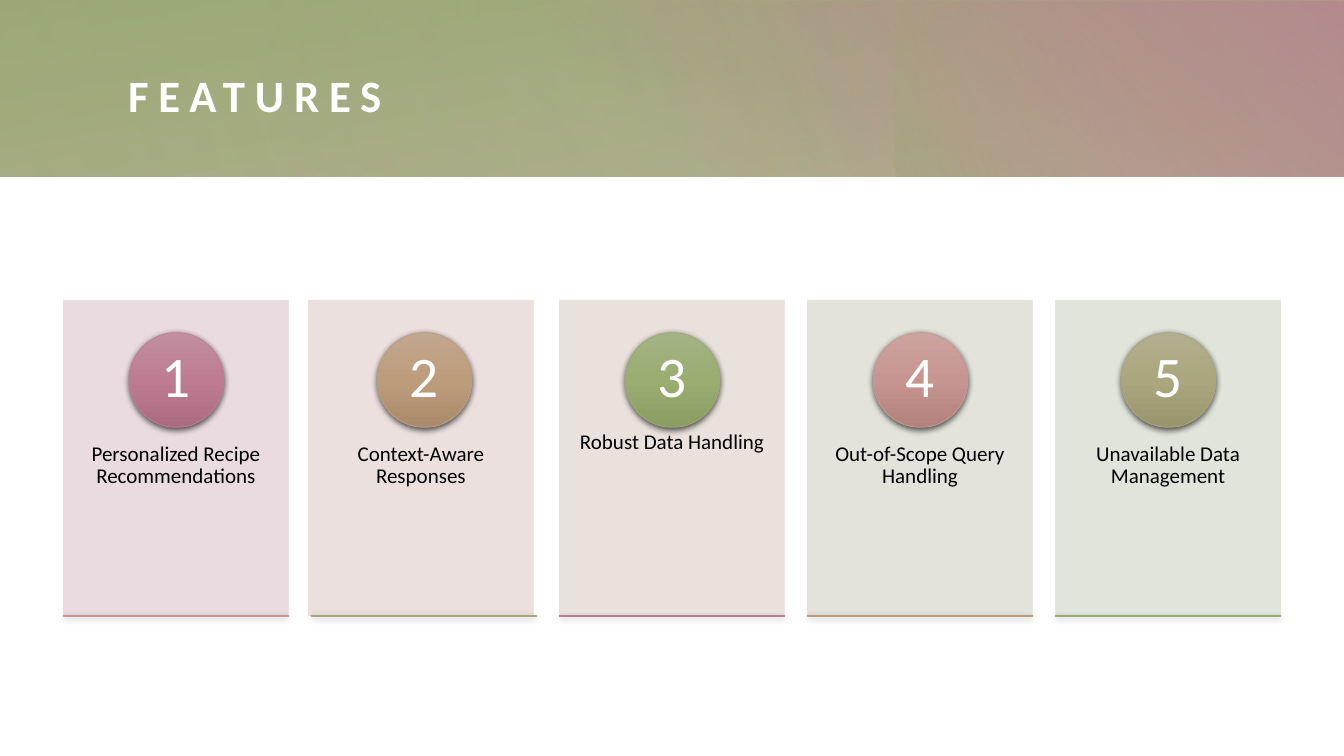
import pptx
import pptx.util
import pptx.oxml
import pptx.oxml.ns
import pptx.dml.color
import pptx.enum.shapes
import pptx.enum.text
from lxml import etree

Inches = pptx.util.Inches
Pt = pptx.util.Pt
SHAPE = pptx.enum.shapes.MSO_SHAPE
ANCHOR = pptx.enum.text.MSO_ANCHOR
ALIGN = pptx.enum.text.PP_ALIGN
qn = pptx.oxml.ns.qn

COLORS = {
    "white": "FFFFFF", "black": "000000",
    "rose": "BA7F93", "tan": "BA9C7F", "green": "99AA74",
    "coral": "C59793", "olive": "A8A580",
}
ACCENT_GRADIENTS = {
    "rose": ("C28E9F", "BD7C92", "AB6B81"),
    "tan": ("C2A78E", "BD9C7C", "AB8B6B"),
    "green": ("A4B385", "9AAD71", "8A9D62"),
    "coral": ("CCA3A0", "C79591", "B4827D"),
    "olive": ("B2AF8F", "AAA77E", "99966E"),
}
BANNER_LAYERS = [
    ((0, 0, 13.33, 1.75), 0, 260, [(0, "olive", 83), (100, "green", 100)]),
    ((4.81, 0.01, 8.52, 1.74), 0, 310, [(22, "rose", 0), (99, "rose", 100)]),
    ((9.87, -0.99, 1.75, 3.74), 270, 250, [(45, "tan", 0), (99, "green", 33)]),
    ((2.68, 0, 10.64, 1.75), 180, 330, [(0, "olive", 30), (99, "olive", 0)]),
    ((0, 0, 8.65, 1.75), 0, 340, [(0, "olive", 21), (99, "olive", 0)]),
]
FEATURES = [
    ("Personalized Recipe Recommendations", "E7D8DC", "rose", "coral", 0),
    ("Context-Aware Responses", "EADDDC", "tan", "olive", -0.03),
    ("Robust Data Handling", "E7DED8", "green", "rose", 0),
    ("Out-of-Scope Query Handling", "E1E1D8", "coral", "tan", 0),
    ("Unavailable Data Management", "DEE2D6", "olive", "green", 0),
]
CARD_LEFT, CARD_PITCH, CARD_WIDTH = 0.63, 2.46, 2.23
CARD_TOP, CARD_HEIGHT = 2.98, 3.13

TITLE = {"size": Pt(32), "bold": True}
LABEL = {"size": Pt(15)}
NUMBER = {"size": Pt(41)}


def rgb(value):
    return pptx.dml.color.RGBColor.from_string(value)


def set_alpha(color_element, percent):
    etree.SubElement(color_element, qn("a:alpha")).set("val", str(percent * 1000))


def add_plain_shape(slide, kind, box):
    shape = slide.shapes.add_shape(kind, *map(Inches, box))
    shape.shadow.inherit = False
    shape.line.fill.background()
    return shape


def set_gradient(shape, stops, angle):
    shape.fill.background()
    properties = shape._element.spPr
    gradient = pptx.oxml.parse_xml(
        f'<a:gradFill {pptx.oxml.ns.nsdecls("a")} rotWithShape="1"><a:gsLst/>'
        f'<a:lin ang="{angle * 60000}" scaled="0"/></a:gradFill>')
    for position, color, alpha in stops:
        stop = etree.SubElement(gradient[0], qn("a:gs"), pos=str(position * 1000))
        set_alpha(etree.SubElement(stop, qn("a:srgbClr"), val=color), alpha)
    properties.replace(properties.find(qn("a:noFill")), gradient)


def set_outline(shape, color):
    shape.line.color.rgb = rgb(color)
    shape.line.width = Pt(0.5)


def add_raised_shape(slide, kind, box, accent):
    shape = add_plain_shape(slide, kind, box)
    stops = [(position, color, 100)
             for position, color in zip((0, 50, 100), ACCENT_GRADIENTS[accent])]
    set_gradient(shape, stops, 90)
    set_outline(shape, COLORS[accent])
    shadow = etree.SubElement(
        shape._element.spPr.find(qn("a:effectLst")), qn("a:outerShdw"),
        blurRad=str(Pt(4.5)), dist=str(Pt(1.5)), dir="5400000",
        algn="ctr", rotWithShape="0")
    set_alpha(etree.SubElement(shadow, qn("a:srgbClr"), val=COLORS["black"]), 63)


def add_text(slide, text, box, font_format, color, insets=(0, 0),
             anchor=ANCHOR.MIDDLE, align=ALIGN.CENTER, line_spacing=0.9):
    frame = slide.shapes.add_textbox(*map(Inches, box)).text_frame
    side, edge = map(Inches, insets)
    frame_format = {
        "word_wrap": True, "vertical_anchor": anchor,
        "margin_left": side, "margin_right": side,
        "margin_top": edge, "margin_bottom": edge,
    }
    for name, value in frame_format.items():
        setattr(frame, name, value)
    paragraph = frame.paragraphs[0]
    paragraph.alignment = align
    paragraph.line_spacing = line_spacing
    run = paragraph.add_run()
    run.text = text
    for name, value in {"name": "Calibri", **font_format}.items():
        setattr(run.font, name, value)
    run.font.color.rgb = rgb(COLORS[color])
    return run


def add_banner(slide):
    for box, rotation, angle, stops in BANNER_LAYERS:
        layer = add_plain_shape(slide, SHAPE.RECTANGLE, box)
        layer.rotation = rotation
        set_gradient(layer, [(position, COLORS[name], alpha)
                             for position, name, alpha in stops], angle)
    title = add_text(slide, "FEATURES", (1.27, 0.41, 11.35, 1.06), TITLE, "white",
                     align=ALIGN.LEFT, line_spacing=1.0)
    title.font._element.set("spc", "700")


def add_feature_card(slide, index, label, tint, badge_accent, base_accent, nudge):
    left = CARD_LEFT + index * CARD_PITCH
    panel_left = left + nudge
    panel = add_plain_shape(slide, SHAPE.RECTANGLE,
                            (panel_left, CARD_TOP, CARD_WIDTH, CARD_HEIGHT))
    panel.fill.solid()
    panel.fill.fore_color.rgb = rgb(tint)
    set_outline(panel, tint)
    for color_element in panel._element.spPr.iter(qn("a:srgbClr")):
        set_alpha(color_element, 90)
    add_text(slide, label, (panel_left, 4.17, CARD_WIDTH, 1.88), LABEL, "black",
             insets=(0.17, 0.36), anchor=ANCHOR.TOP)
    add_raised_shape(slide, SHAPE.OVAL, (left + 0.65, 3.3, 0.94, 0.94), badge_accent)
    add_text(slide, str(index + 1), (left + 0.79, 3.43, 0.66, 0.66), NUMBER, "white",
             insets=(0.07, 0.01))
    add_raised_shape(slide, SHAPE.RECTANGLE,
                     (left, CARD_TOP + CARD_HEIGHT, CARD_WIDTH, 0), base_accent)


def main():
    presentation = pptx.Presentation()
    presentation.slide_width = Inches(13.33)
    presentation.slide_height = Inches(7.5)
    slide = presentation.slides.add_slide(presentation.slide_layouts[6])
    add_banner(slide)
    for index, feature in enumerate(FEATURES):
        add_feature_card(slide, index, *feature)
    presentation.save("out.pptx")


if __name__ == "__main__":
    main()
